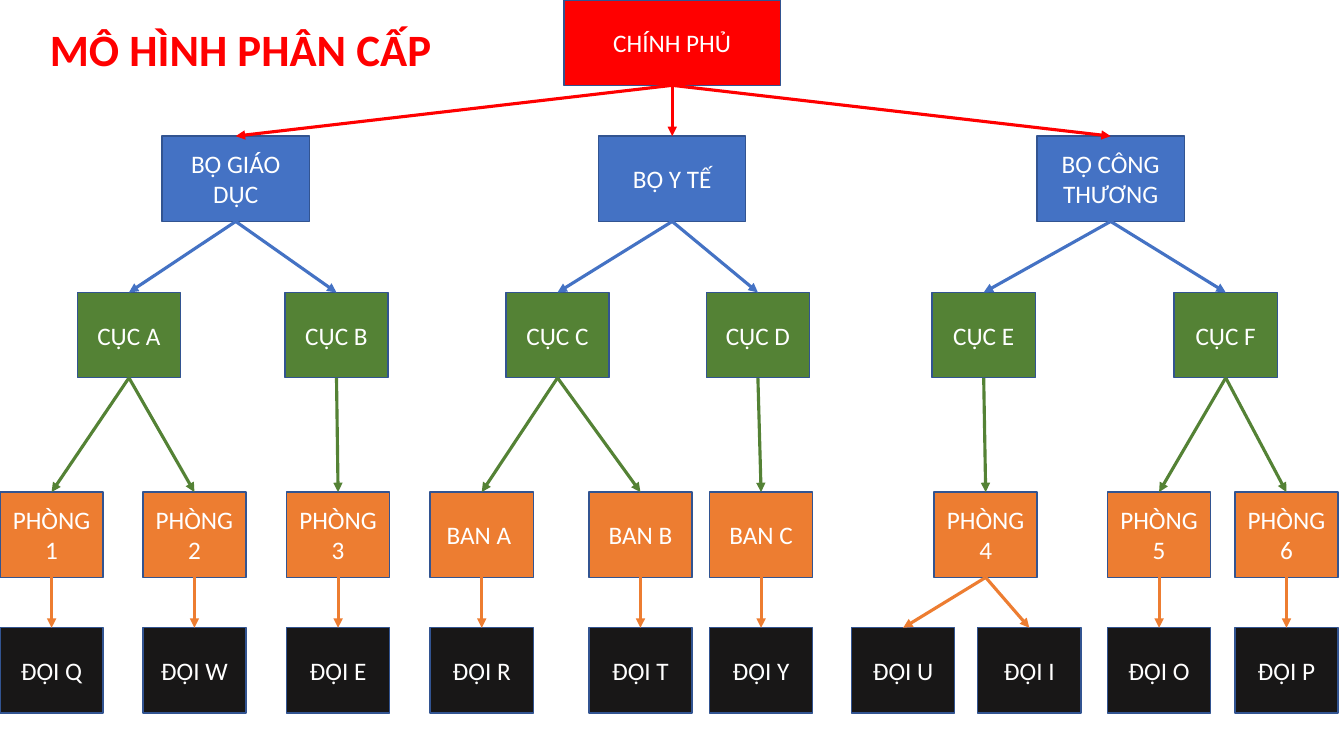
import dataclasses

import pptx
import pptx.dml.color
import pptx.enum.shapes
import pptx.enum.text
import pptx.oxml
import pptx.oxml.ns
import pptx.util

Cm, Pt = pptx.util.Cm, pptx.util.Pt
RGB = pptx.dml.color.RGBColor.from_string
ALIGN = pptx.enum.text.PP_ALIGN
ANCHOR = pptx.enum.text.MSO_ANCHOR


@dataclasses.dataclass(frozen=True)
class Theme:
    font: str = "Calibri"
    title_size: int = 32
    box_size: int = 18
    red: str = "FF0000"
    blue: str = "4472C4"
    green: str = "548235"
    orange: str = "ED7D31"
    black: str = "181717"
    outline: str = "325491"
    white: str = "FFFFFF"


theme = Theme()
BOX_HEIGHT = 2.15
TOP_SITE, BOTTOM_SITE = 0, 2

# Each tier: top, box width, colour, and units as (name, centre x, parent); lengths in cm
tiers = [
    (0, 5.46, theme.red, [("CHÍNH PHỦ", 16.94, None)]),
    (3.43, 3.71, theme.blue, [
        ("BỘ GIÁO DỤC", 5.94, "CHÍNH PHỦ"),
        ("BỘ Y TẾ", 16.94, "CHÍNH PHỦ"),
        ("BỘ CÔNG THƯƠNG", 27.99, "CHÍNH PHỦ"),
    ]),
    (7.37, 2.6, theme.green, [
        ("CỤC A", 3.25, "BỘ GIÁO DỤC"),
        ("CỤC B", 8.48, "BỘ GIÁO DỤC"),
        ("CỤC C", 14.05, "BỘ Y TẾ"),
        ("CỤC D", 19.1, "BỘ Y TẾ"),
        ("CỤC E", 24.79, "BỘ CÔNG THƯƠNG"),
        ("CỤC F", 30.89, "BỘ CÔNG THƯƠNG"),
    ]),
    (12.4, 2.6, theme.orange, [
        ("PHÒNG 1", 1.3, "CỤC A"),
        ("PHÒNG 2", 4.9, "CỤC A"),
        ("PHÒNG 3", 8.52, "CỤC B"),
        ("BAN A ", 12.14, "CỤC C"),
        ("BAN B", 16.14, "CỤC C"),
        ("BAN C", 19.18, "CỤC D"),
        ("PHÒNG 4", 24.84, "CỤC E"),
        ("PHÒNG 5", 29.21, "CỤC F"),
        ("PHÒNG 6", 32.42, "CỤC F"),
    ]),
    (15.82, 2.6, theme.black, [
        ("ĐỘI Q", 1.3, "PHÒNG 1"),
        ("ĐỘI W", 4.9, "PHÒNG 2"),
        ("ĐỘI E", 8.52, "PHÒNG 3"),
        ("ĐỘI R", 12.14, "BAN A "),
        ("ĐỘI T", 16.14, "BAN B"),
        ("ĐỘI Y", 19.18, "BAN C"),
        ("ĐỘI U", 22.76, "PHÒNG 4"),
        ("ĐỘI I", 25.94, "PHÒNG 4"),
        ("ĐỘI O", 29.21, "PHÒNG 5"),
        ("ĐỘI P", 32.42, "PHÒNG 6"),
    ]),
]


def format_text(frame, size, color, align, anchor, bold=False):
    frame.vertical_anchor = anchor
    paragraph = frame.paragraphs[0]
    paragraph.alignment = align
    paragraph.line_spacing = 1.0
    font = paragraph.runs[0].font
    font.name, font.size, font.bold = theme.font, Pt(size), bold
    font.color.rgb = RGB(color)


def add_arrow(shapes, parent, child, color):
    """Join the bottom of the parent box to the top of the child box."""
    arrow = shapes.add_connector(pptx.enum.shapes.MSO_CONNECTOR.STRAIGHT, 0, 0, 0, 0)
    arrow.begin_connect(parent, BOTTOM_SITE)
    arrow.end_connect(child, TOP_SITE)
    arrow.line.color.rgb = RGB(color)
    arrow.line.width = Pt(2.25)
    namespace = pptx.oxml.ns.nsdecls("a")
    arrow.line._get_or_add_ln().append(
        pptx.oxml.parse_xml(f'<a:tailEnd {namespace} type="triangle"/>'))
    arrow._element.spPr.append(pptx.oxml.parse_xml(f"<a:effectLst {namespace}/>"))


deck = pptx.Presentation()
deck.slide_width, deck.slide_height = Cm(33.87), Cm(19.05)
slide = deck.slides.add_slide(deck.slide_layouts.get_by_name("Title Only"))

heading = slide.shapes.title
heading.left, heading.top, heading.width, heading.height = Cm(1), Cm(0.43), Cm(10.49), Cm(1.62)
heading.text_frame.text = "MÔ HÌNH PHÂN CẤP"
heading.text_frame.word_wrap = False
heading.text_frame.auto_size = pptx.enum.text.MSO_AUTO_SIZE.NONE
format_text(heading.text_frame, theme.title_size, theme.red, ALIGN.LEFT, ANCHOR.TOP, bold=True)

boxes = {}
tier_colors = {}
for top, width, color, units in tiers:
    for name, centre, parent in units:
        box = slide.shapes.add_shape(
            pptx.enum.shapes.MSO_SHAPE.RECTANGLE,
            Cm(centre - width / 2), Cm(top), Cm(width), Cm(BOX_HEIGHT))
        box.shadow.inherit = False
        box.fill.solid()
        box.fill.fore_color.rgb = RGB(color)
        box.line.color.rgb = RGB(theme.outline)
        box.line.width = Pt(1)
        box.text_frame.text = name
        box.text_frame.word_wrap = True
        format_text(box.text_frame, theme.box_size, theme.white, ALIGN.CENTER, ANCHOR.MIDDLE)
        boxes[name] = box
        tier_colors[name] = color
        if parent:
            add_arrow(slide.shapes, boxes[parent], box, tier_colors[parent])

deck.save("out.pptx")
